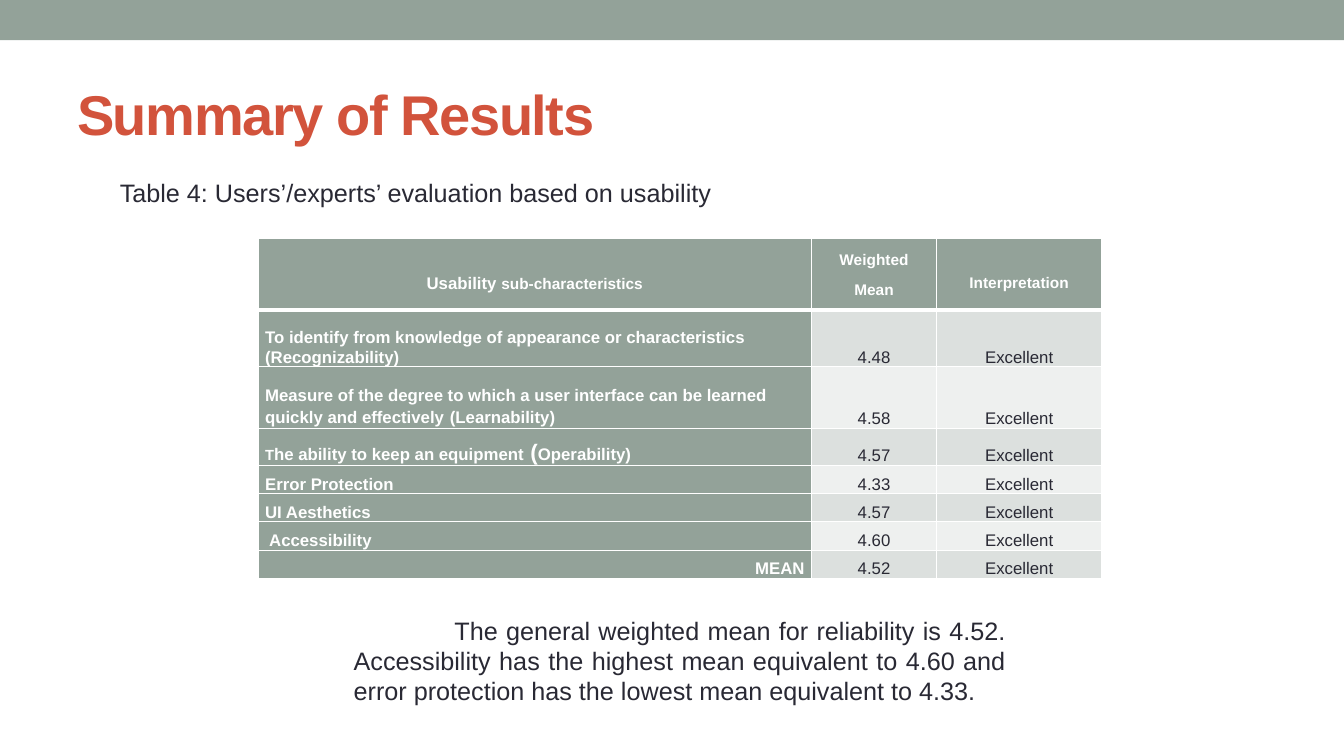
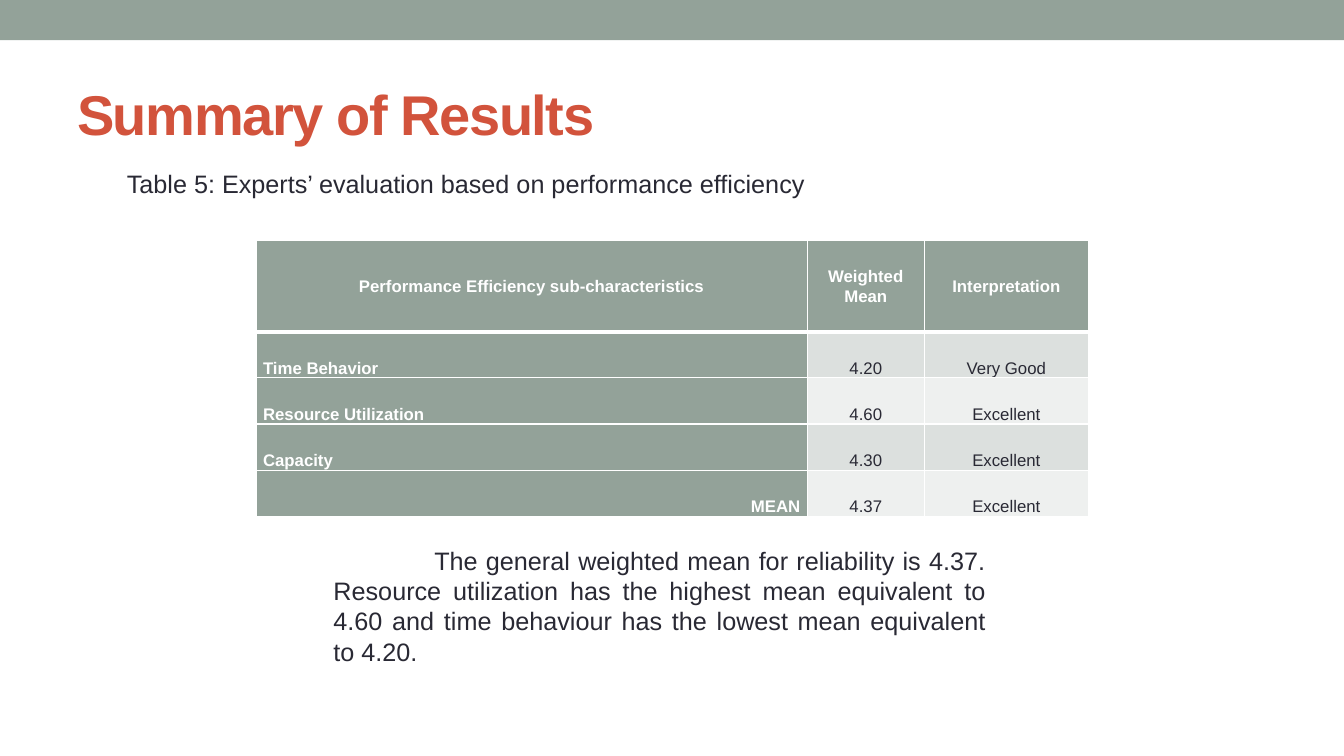
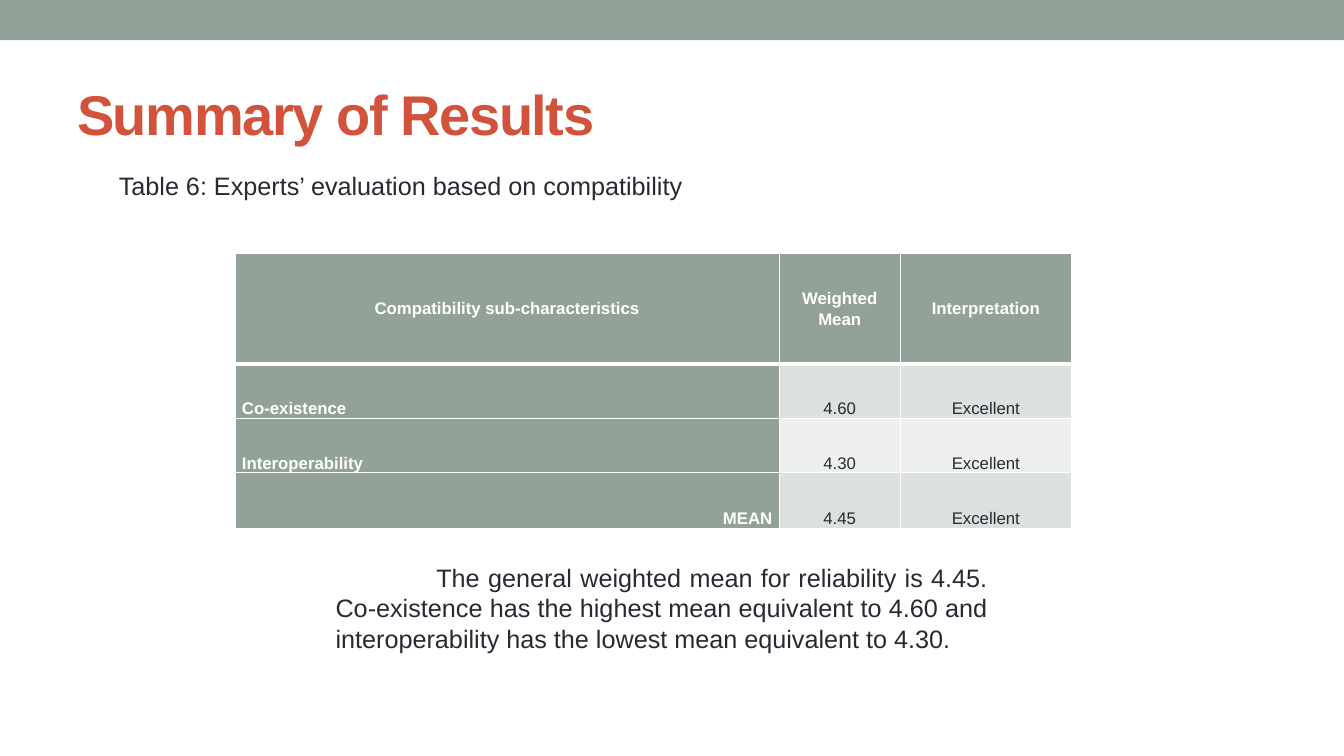
"""Build three result slides, each with a caption, a ratings table and a summary."""
import pptx
import pptx.dml.color
import pptx.enum.shapes
import pptx.enum.text
import pptx.oxml
import pptx.oxml.ns
import pptx.util

Pt = pptx.util.Pt
RGBColor = pptx.dml.color.RGBColor
ALIGN = pptx.enum.text.PP_ALIGN
ANCHOR = pptx.enum.text.MSO_ANCHOR

FONT = "Arial"
SAGE = RGBColor(0x93, 0xA2, 0x99)
RUST = RGBColor(0xD2, 0x53, 0x3C)
INK = RGBColor(0x29, 0x29, 0x34)
WHITE = RGBColor(0xFF, 0xFF, 0xFF)
BANDS = [RGBColor(0xDC, 0xE0, 0xDE), RGBColor(0xEE, 0xF0, 0xEF)]

SLIDES = [
    {
        "caption": "Table 4: Users’/experts’ evaluation based on usability",
        "caption_box": (78.5, 123, 441, 29),
        "table_at": (184.4, 170.6),
        "cols": [395.3, 89.3, 118.1],
        "row_heights": [51.1, 40.3, 43.9, 26.6] + [20.2] * 4,
        "header_spacing": [2, 1.07, 2],
        "header_gap": 8,
        "rows": [
            [[[("Usability ", 12), ("sub-characteristics", 11)]],
             [[("Weighted", 11)], [("Mean", 11)]],
             [[("Interpretation", 11)]]],
            ["To identify from knowledge of appearance or characteristics (Recognizability)",
             "4.48", "Excellent"],
            [[[("Measure of the degree to which a user interface can be learned "
                "quickly and effectively", 12), (" ", 14), ("(Learnability)", 12)]],
             "4.58", "Excellent"],
            [[[("T", 10.5), ("he ability to keep an equipment", 12), (" (", 16),
               ("Operability)", 12)]],
             "4.57", "Excellent"],
            ["Error Protection", "4.33", "Excellent"],
            ["UI Aesthetics", "4.57", "Excellent"],
            [" Accessibility", "4.60", "Excellent"],
            ["MEAN", "4.52", "Excellent"],
        ],
        "summary": "The general weighted mean for reliability is 4.52. Accessibility has "
                   "the highest mean equivalent to 4.60 and error protection has the lowest "
                   "mean equivalent to 4.33.",
        "summary_box": (245.5, 435.6, 480, 72.7),
    },
    {
        "caption": "Table 5: Experts’ evaluation based on performance efficiency",
        "caption_box": (83.5, 116.6, 541, 29),
        "table_at": (182.9, 171.4),
        "cols": [393.8, 83.5, 117.4],
        "row_heights": [65.5] + [33] * 4,
        "header_spacing": [1.07] * 3,
        "header_gap": 0,
        "rows": [
            ["Performance Efficiency sub-characteristics", "Weighted\nMean", "Interpretation"],
            ["Time Behavior", "4.20", "Very Good"],
            ["Resource Utilization", "4.60", "Excellent"],
            ["Capacity", "4.30", "Excellent"],
            ["MEAN", "4.37", "Excellent"],
        ],
        "summary": "The general weighted mean for reliability is 4.37. Resource utilization "
                   "has the highest mean equivalent to 4.60 and time behaviour has the lowest "
                   "mean equivalent to 4.20.",
        "summary_box": (231.1, 385.9, 480, 94.3),
    },
    {
        "caption": "Table 6: Experts’ evaluation based on compatibility",
        "caption_box": (77.8, 118, 421, 29),
        "table_at": (167.8, 180.7),
        "cols": [388.8, 86.4, 122.4],
        "row_heights": [79.2, 38.9, 38.9, 39.6],
        "header_spacing": [1.07] * 3,
        "header_gap": 0,
        "rows": [
            ["Compatibility sub-characteristics", "Weighted\nMean", "Interpretation"],
            ["Co-existence", "4.60", "Excellent"],
            ["Interoperability", "4.30", "Excellent"],
            ["MEAN", "4.45", "Excellent"],
        ],
        "summary": "The general weighted mean for reliability is 4.45. Co-existence has the "
                   "highest mean equivalent to 4.60 and interoperability has the lowest mean "
                   "equivalent to 4.30.",
        "summary_box": (232.6, 398.2, 480, 72.7),
    },
]


def add_run(p, text, size, color, bold=False):
    r = p.add_run()
    r.text = text
    r.font.name = FONT
    r.font.size = Pt(size)
    r.font.bold = bold
    r.font.color.rgb = color
    return r


def add_text(s, box, text, size, color, bold=False):
    tf = s.shapes.add_textbox(*[Pt(v) for v in box]).text_frame
    tf.word_wrap = True
    return tf, add_run(tf.paragraphs[0], text, size, color, bold)


prs = pptx.Presentation()
prs.slide_width = Pt(960)
prs.slide_height = Pt(540)

for data in SLIDES:
    s = prs.slides.add_slide(prs.slide_layouts[6])

    band = s.shapes.add_shape(pptx.enum.shapes.MSO_SHAPE.RECTANGLE, 0, 0, Pt(960), Pt(28.8))
    band.shadow.inherit = False
    band.fill.solid()
    band.fill.fore_color.rgb = SAGE
    band.line.fill.background()

    tf, r = add_text(s, (48, 42, 864, 78), "Summary of Results", 40, RUST, True)
    tf.vertical_anchor = ANCHOR.MIDDLE
    r.font._element.set("spc", "-100")

    rows = data["rows"]
    frame = s.shapes.add_table(len(rows), 3, *[Pt(v) for v in data["table_at"]],
                               Pt(sum(data["cols"])), Pt(sum(data["row_heights"])))
    table = frame.table
    table.first_row = False
    table.horz_banding = False
    for col, width in zip(table.columns, data["cols"]):
        col.width = Pt(width)
    for row, height in zip(table.rows, data["row_heights"]):
        row.height = Pt(height)

    for i, row in enumerate(rows):
        for j, content in enumerate(row):
            cell = table.cell(i, j)
            header = i == 0
            heading = header or j == 0
            cell.margin_left = cell.margin_right = Pt(5)
            cell.margin_top = cell.margin_bottom = 0
            cell.vertical_anchor = ANCHOR.MIDDLE if header else ANCHOR.BOTTOM

            for side in "LRTB":
                thick = (i, side) in [(0, "B"), (1, "T")]
                cell._tc.get_or_add_tcPr().append(pptx.oxml.parse_xml(
                    f'<a:ln{side} {pptx.oxml.ns.nsdecls("a")} w="{Pt(3 if thick else 1)}">'
                    f'<a:solidFill><a:srgbClr val="{WHITE}"/></a:solidFill></a:ln{side}>'))
            cell.fill.solid()
            cell.fill.fore_color.rgb = SAGE if heading else BANDS[(i - 1) % 2]

            if isinstance(content, str):
                content = [[(line, 12)] for line in content.split("\n")]
            tf = cell.text_frame
            for k, runs in enumerate(content):
                p = tf.add_paragraph() if k else tf.paragraphs[0]
                p.line_spacing = data["header_spacing"][j] if header else 1.07
                if k < len(content) - 1:
                    p.space_after = Pt(data["header_gap"])
                if header or j > 0:
                    p.alignment = ALIGN.CENTER
                else:
                    p.alignment = ALIGN.RIGHT if i == len(rows) - 1 else ALIGN.LEFT
                for text, size in runs:
                    add_run(p, text, size, WHITE if heading else INK, heading)

    add_text(s, data["caption_box"], data["caption"], 18, INK)
    tf, r = add_text(s, data["summary_box"], data["summary"], 18, INK)
    p = tf.paragraphs[0]
    p.alignment = ALIGN.JUSTIFY
    p._p.get_or_add_pPr().set("indent", str(Pt(72)))

prs.save("out.pptx")
